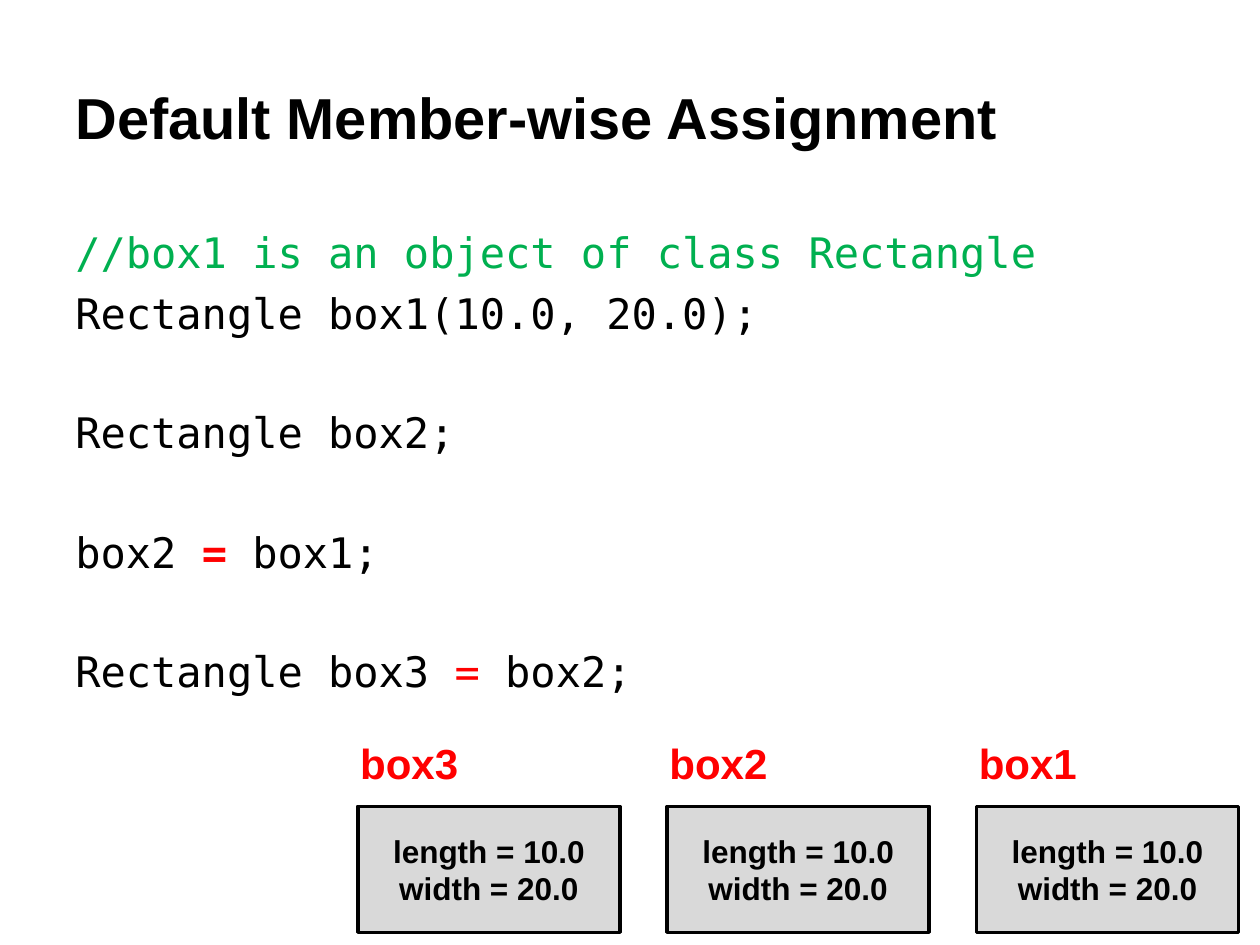
"""Build the slide on default member-wise assignment of objects."""
from dataclasses import dataclass

import pptx
import pptx.dml.color
import pptx.enum.shapes
import pptx.enum.text
import pptx.util

Inches = pptx.util.Inches
Pt = pptx.util.Pt
ALIGN = pptx.enum.text.PP_ALIGN
ANCHOR = pptx.enum.text.MSO_ANCHOR
MONO = "DejaVu Sans Mono"
BLACK, RED, GREEN, GREY = "000000", "FF0000", "00B050", "D9D9D9"
LINE_GAP, BLOCK_GAP = 5.76, 39.46


@dataclass
class Run:
    text: str
    color: str = BLACK
    bold: bool = False


@dataclass
class CodeLine:
    runs: list[Run]
    before: float = BLOCK_GAP


@dataclass
class ObjectBox:
    name: str
    left: float


CODE = [
    CodeLine([Run("//box1 is an object of class Rectangle", GREEN)], LINE_GAP),
    CodeLine([Run("Rectangle box1(10.0, 20.0);")], LINE_GAP),
    CodeLine([Run("Rectangle box2;")]),
    CodeLine([Run("box2 "), Run("=", RED, True), Run(" box1;")]),
    CodeLine([Run("Rectangle box3 "), Run("=", RED), Run(" box2;")]),
]
BOXES = [ObjectBox(name, 2.84 + i * 2.455) for i, name in enumerate(("box3", "box2", "box1"))]


def rgb(value: str):
    return pptx.dml.color.RGBColor.from_string(value)


def write(p, text: str, *, size: float, font: str = "Arial", color: str = BLACK, bold: bool = True):
    r = p.add_run()
    r.text = text
    r.font.size = Pt(size)
    r.font.name = font
    r.font.bold = bold
    r.font.color.rgb = rgb(color)


def add_box(s, left: float, top: float, width: float, height: float, wrap: bool = True):
    tf = s.shapes.add_textbox(Inches(left), Inches(top), Inches(width), Inches(height)).text_frame
    tf.word_wrap = wrap
    return tf


def next_paragraph(tf, index: int):
    return tf.add_paragraph() if index else tf.paragraphs[0]


def draw_title(s):
    tf = add_box(s, 0.5, 0.3, 9, 1.25)
    tf.vertical_anchor = ANCHOR.MIDDLE
    write(tf.paragraphs[0], "Default Member-wise Assignment", size=33)


def draw_code(s, lines: list[CodeLine]):
    tf = add_box(s, 0.5, 1.75, 9, 4.95)
    for i, line in enumerate(lines):
        p = next_paragraph(tf, i)
        p.alignment = ALIGN.JUSTIFY
        p.space_before = Pt(line.before)
        for run in line.runs:
            write(p, run.text, size=24, font=MONO, color=run.color, bold=run.bold)


def draw_object(s, box: ObjectBox):
    sp = s.shapes.add_shape(pptx.enum.shapes.MSO_SHAPE.RECTANGLE,
                            Inches(box.left), Inches(6.4), Inches(2.08), Inches(1))
    sp.shadow.inherit = False
    sp.fill.solid()
    sp.fill.fore_color.rgb = rgb(GREY)
    sp.line.color.rgb = rgb(BLACK)
    sp.line.width = Pt(2)
    tf = sp.text_frame
    tf.vertical_anchor = ANCHOR.MIDDLE
    for i, member in enumerate(("length = 10.0", "width = 20.0")):
        p = next_paragraph(tf, i)
        p.alignment = ALIGN.CENTER
        write(p, member, size=18)
    label = add_box(s, box.left - 0.08, 5.8, 0.99, 0.51, wrap=False)
    label.auto_size = pptx.enum.text.MSO_AUTO_SIZE.SHAPE_TO_FIT_TEXT
    write(label.paragraphs[0], box.name, size=24, color=RED)


def main():
    prs = pptx.Presentation()
    prs.slide_width, prs.slide_height = Inches(10), Inches(7.5)
    s = prs.slides.add_slide(prs.slide_layouts[6])
    draw_title(s)
    draw_code(s, CODE)
    for box in reversed(BOXES):
        draw_object(s, box)
    prs.save("out.pptx")


if __name__ == "__main__":
    main()
